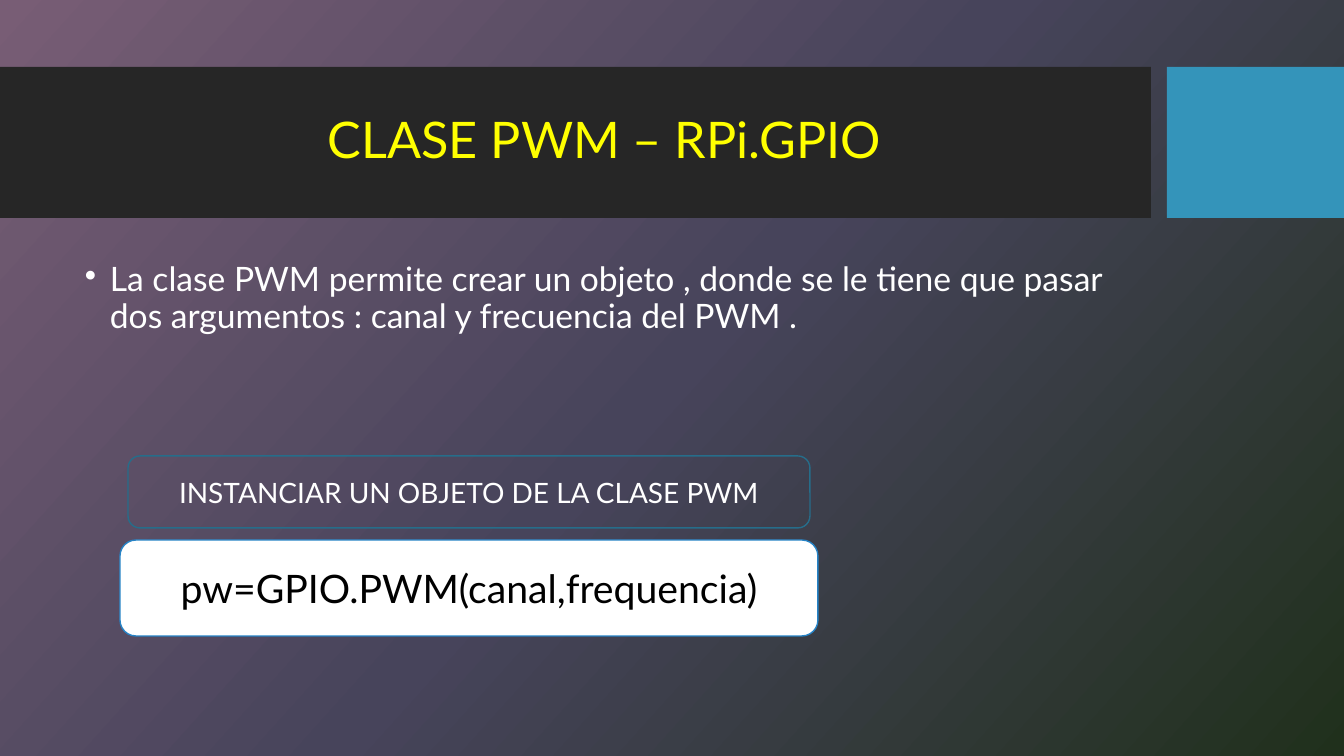
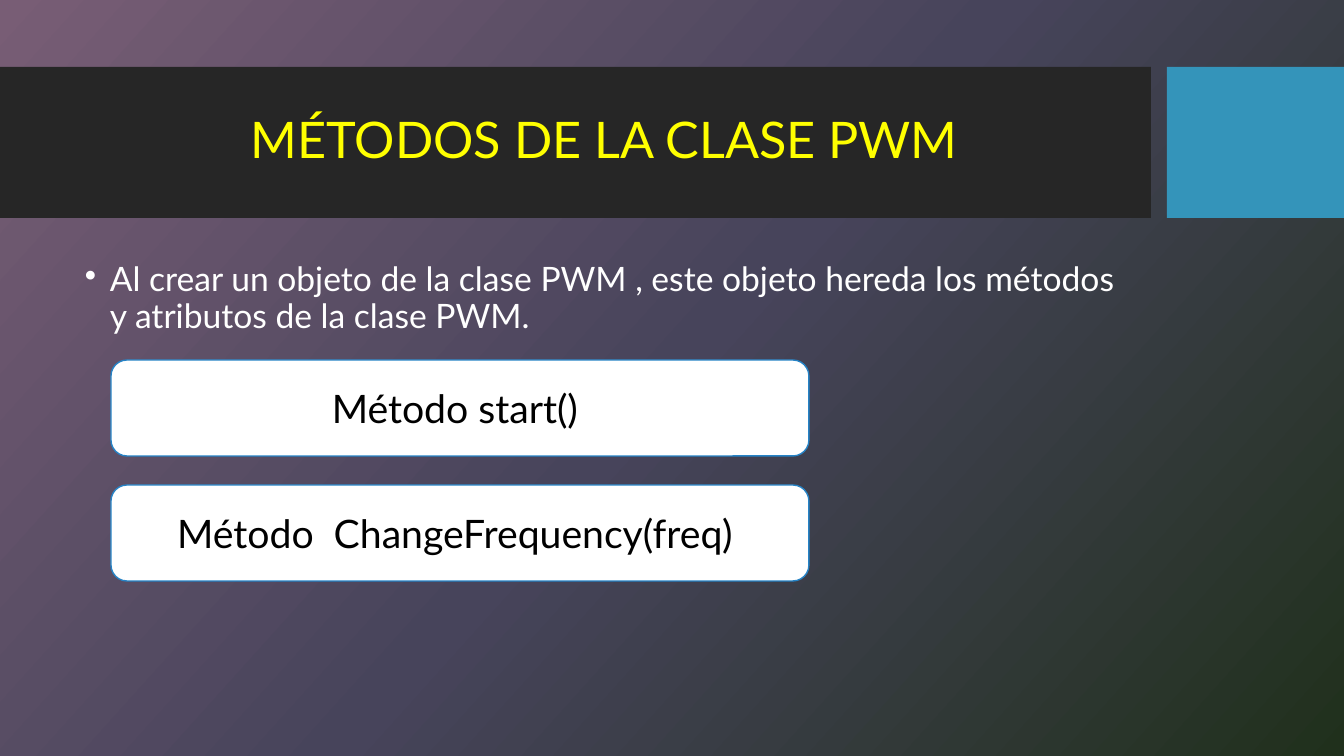
from copy import deepcopy

from pptx import Presentation
from pptx.dml.color import RGBColor
from pptx.enum.shapes import MSO_SHAPE as SHAPE
from pptx.enum.text import MSO_ANCHOR as ANCHOR, PP_ALIGN as ALIGN
from pptx.oxml.ns import qn
from pptx.util import Pt

EMU_PER_PX = 914400 / 100.8
W, H = 1344, 756
FONT = "Lato"
DARK, ACCENT, YELLOW = "262626", "3494BA", "FFFF00"
WHITE, BLACK, BLUE, TEAL = "FFFFFF", "000000", "2683C6", "266D8A"
BACKDROP = [(0, "785D75"), (0.5, "47445B"), (1, "20301C")]
TITLE_BAND = (0, 67, 1151, 151)
BODY = (75, 258, 1059, 397)
CODE_W, CODE_H = 698, 96


def px(n):
    """Turn pixels into EMU."""
    return round(n * EMU_PER_PX)


def rgb(value):
    """Turn a hex string into a colour."""
    return RGBColor.from_string(value)


def add_background(master):
    """Give the master a diagonal gradient of three colours."""
    fill = master.background.fill
    fill.gradient()
    fill.gradient_angle = 318
    stops = master.element.find(".//" + qn("a:gsLst"))
    stops.append(deepcopy(stops[0]))
    for stop, (position, color) in zip(fill.gradient_stops, BACKDROP):
        stop.position = position
        stop.color.rgb = rgb(color)


def add_box(s, box, kind=SHAPE.RECTANGLE, fill=None, line=None):
    """Add a flat shape with an optional fill and outline."""
    sp = s.shapes.add_shape(kind, *map(px, box))
    sp.shadow.inherit = False
    if fill:
        sp.fill.solid()
        sp.fill.fore_color.rgb = rgb(fill)
    else:
        sp.fill.background()
    if line:
        sp.line.color.rgb = rgb(line)
        sp.line.width = Pt(1)
    else:
        sp.line.fill.background()
    return sp


def write(sp, text, size, color, align=ALIGN.CENTER, anchor=ANCHOR.MIDDLE,
          spacing=None, before=None, bullet=None):
    """Write one formatted paragraph in a shape."""
    tf = sp.text_frame
    tf.word_wrap = True
    tf.vertical_anchor = anchor
    p = tf.paragraphs[0]
    p.alignment = align
    if spacing:
        p.line_spacing = spacing
    if before:
        p.space_before = Pt(before)
    if bullet:
        pPr = p._p.get_or_add_pPr()
        pPr.set("marL", str(px(25)))
        pPr.set("indent", str(-px(25)))
        pPr.makeelement(qn("a:buChar"), {"char": bullet})
        pPr.append(pPr.makeelement(qn("a:buChar"), {"char": bullet}))
    r = p.add_run()
    r.text = text
    r.font.name = FONT
    r.font.size = Pt(size)
    r.font.color.rgb = rgb(color)


def add_header(s, box, title):
    """Add the title band, its title and the accent block beside it."""
    x, y, w, h = box
    accent_x = x + w + 16
    add_box(s, box, fill=DARK)
    add_box(s, (accent_x, y, W - accent_x, h), fill=ACCENT)
    area = (x + 75, y + 16, w - 92, h - 32)
    write(s.shapes.add_textbox(*map(px, area)), title, 36, YELLOW, spacing=0.9)


def add_body(s, box, text):
    """Add the bulleted explanation."""
    write(s.shapes.add_textbox(*map(px, box)), text, 24, WHITE,
          align=ALIGN.LEFT, anchor=ANCHOR.TOP, spacing=0.9, before=10,
          bullet="•")


def add_code(s, x, y, text):
    """Add a white rounded box with a line of code."""
    sp = add_box(s, (x, y, CODE_W, CODE_H), SHAPE.ROUNDED_RECTANGLE, WHITE, BLUE)
    write(sp, text, 28, BLACK)


def add_caption(s, box, text):
    """Add an outlined rounded caption."""
    sp = add_box(s, box, SHAPE.ROUNDED_RECTANGLE, line=TEAL)
    write(sp, text, 20, WHITE)


def add_content_slide(prs, title, text):
    """Add a slide with the shared header and body."""
    s = prs.slides.add_slide(prs.slide_layouts[6])
    add_header(s, TITLE_BAND, title)
    add_body(s, BODY, text)
    return s


def class_slide(prs):
    """Build the slide on creating a PWM object."""
    s = add_content_slide(
        prs, "CLASE PWM – RPi.GPIO",
        "La clase PWM permite crear un objeto , donde se le tiene que pasar "
        "dos argumentos : canal y frecuencia del PWM .")
    add_code(s, 120, 540, "pw=GPIO.PWM(canal,frequencia)")
    add_caption(s, (128, 456, 682, 72), "INSTANCIAR UN OBJETO DE LA CLASE PWM")


def methods_slide(prs):
    """Build the slide on the methods of the class."""
    s = add_content_slide(
        prs, "MÉTODOS DE LA CLASE PWM",
        "Al crear un objeto de la clase PWM , este objeto hereda los métodos "
        "y atributos de la clase PWM.")
    methods = ["Método start() ", "Método  ChangeFrequency(freq) "]
    for i, method in enumerate(methods):
        add_code(s, 111, 360 + i * (CODE_H + 29), method)


def main():
    """Build and save the presentation."""
    prs = Presentation()
    prs.slide_width, prs.slide_height = px(W), px(H)
    add_background(prs.slide_master)
    class_slide(prs)
    methods_slide(prs)
    prs.save("out.pptx")


if __name__ == "__main__":
    main()
